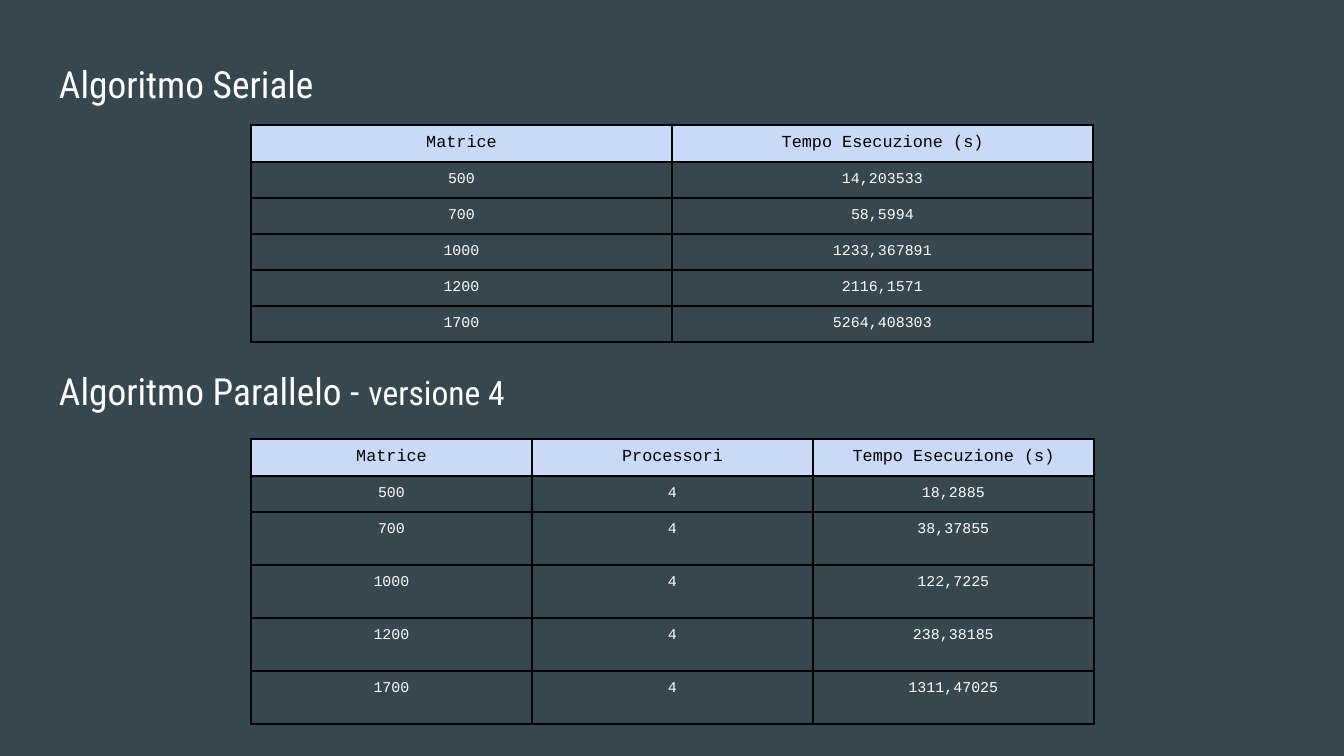
"""Build a slide comparing serial and parallel run times."""
from lxml.etree import SubElement
from pptx import Presentation
from pptx.dml.color import RGBColor as Rgb
from pptx.enum.text import MSO_ANCHOR as Anchor, MSO_AUTO_SIZE as Fit, PP_ALIGN as Align
from pptx.oxml.ns import qn
from pptx.util import Pt

SCALE = 9144000 / 1344
INK = {"back": "37474F", "head": "C9DAF8", "dark": "000000", "light": "FFFFFF"}
SERIAL = [
    ("Matrice", "Tempo Esecuzione (s)"),
    ("500", "14,203533"),
    ("700", "58,5994"),
    ("1000", "1233,367891"),
    ("1200", "2116,1571"),
    ("1700", "5264,408303"),
]
PARALLEL = [
    ("Matrice", "Processori", "Tempo Esecuzione (s)"),
    ("500", "4", "18,2885"),
    ("700", "4", "38,37855"),
    ("1000", "4", "122,7225"),
    ("1200", "4", "238,38185"),
    ("1700", "4", "1311,47025"),
]


def px(num):
    return round(num * SCALE)


def tint(name):
    return Rgb.from_string(INK[name])


class Deck:
    def __init__(self):
        self.prs = Presentation()
        self.prs.slide_width, self.prs.slide_height = px(1344), px(756)
        self.slide = self.prs.slides.add_slide(self.prs.slide_layouts[0])
        fill = self.slide.background.fill
        fill.solid()
        fill.fore_color.rgb = tint("back")

    def style(self, para, face, size, color, align):
        para.alignment = align
        para.font.name = face
        para.font.size = Pt(size)
        para.font.color.rgb = tint(color)

    def title(self, index, top, text, note=""):
        box = self.slide.placeholders[index]
        box.left, box.top, box.width, box.height = px(46), px(top), px(1252), px(85)
        frame = box.text_frame
        frame.auto_size = Fit.NONE
        frame.vertical_anchor = Anchor.TOP
        frame.margin_left = frame.margin_right = px(13)
        frame.margin_top = frame.margin_bottom = px(13)
        para = frame.paragraphs[0]
        para.space_before = Pt(0)
        self.style(para, "Roboto Condensed", 20, "light", Align.LEFT)
        para.add_run().text = text
        if note:
            run = para.add_run()
            run.text = note
            run.font.size = Pt(18)

    def border(self, cell):
        props = cell._tc.get_or_add_tcPr()
        for side in ("lnL", "lnR", "lnT", "lnB"):
            line = SubElement(props, qn(f"a:{side}"), w=str(Pt(1)))
            fill = SubElement(line, qn("a:solidFill"))
            SubElement(fill, qn("a:srgbClr"), val=INK["dark"])

    def cell(self, cell, text, head):
        self.border(cell)
        if head:
            cell.fill.solid()
            cell.fill.fore_color.rgb = tint("head")
        else:
            cell.fill.background()
        cell.margin_left = cell.margin_right = px(9)
        cell.margin_top = cell.margin_bottom = px(9)
        cell.text = text
        size, color = (9, "dark") if head else (8, "light")
        self.style(cell.text_frame.paragraphs[0], "Courier New", size, color, Align.CENTER)

    def table(self, top, wide, highs, data):
        count = len(data[0])
        frame = self.slide.shapes.add_table(
            len(data), count, px(251), px(top), px(wide * count), px(sum(highs)))
        table = frame.table
        table.first_row = table.horz_banding = False
        for col in table.columns:
            col.width = px(wide)
        for row, high, texts in zip(table.rows, highs, data):
            row.height = px(high)
            for cell, text in zip(row.cells, texts):
                self.cell(cell, text, texts is data[0])


def main():
    deck = Deck()
    deck.table(125, 421, [37] + [36] * 5, SERIAL)
    deck.table(439, 281, [37, 36] + [53] * 4, PARALLEL)
    deck.title(0, 48, "Algoritmo Seriale")
    deck.title(1, 355, "Algoritmo Parallelo - ", "versione 4")
    deck.prs.save("out.pptx")


if __name__ == "__main__":
    main()
